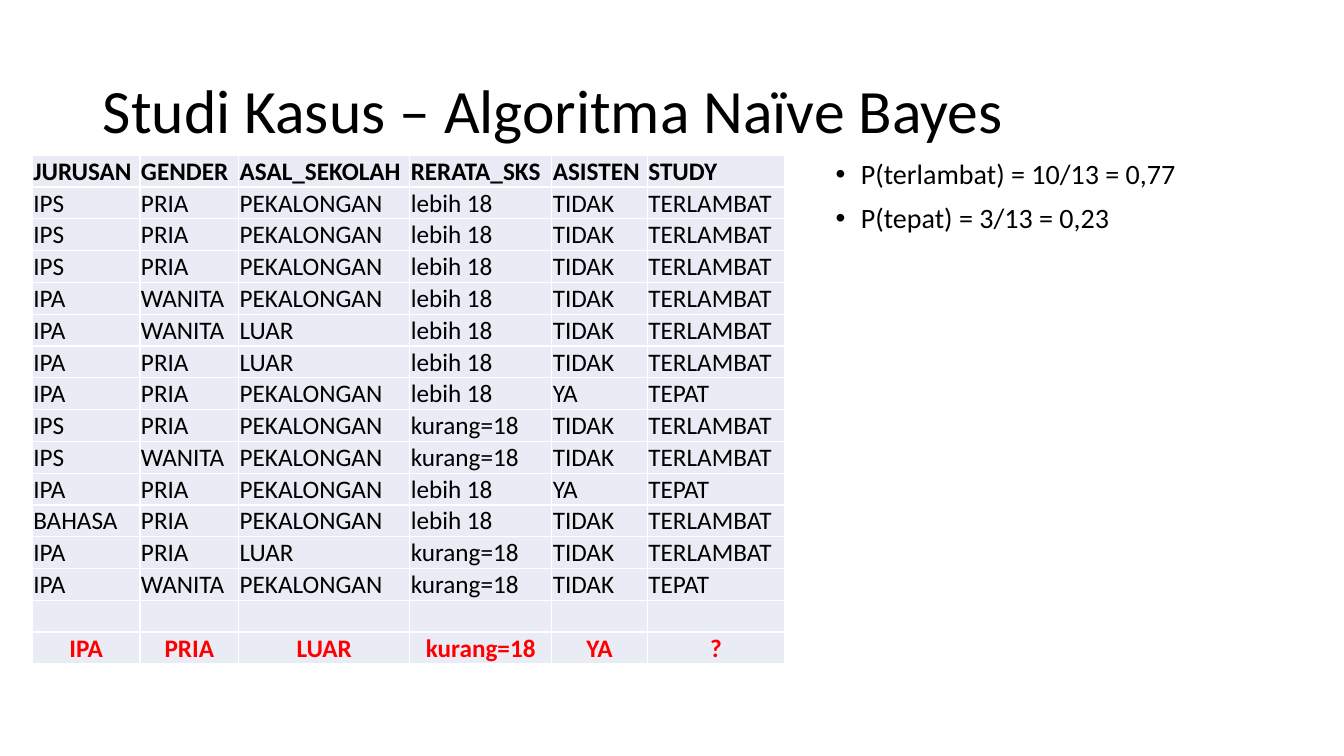
from lxml import etree
from pptx import Presentation
from pptx.dml.color import RGBColor
from pptx.enum.text import MSO_ANCHOR, PP_ALIGN
from pptx.oxml.ns import qn
from pptx.util import Inches, Pt

LEFT, CENTER = PP_ALIGN.LEFT, PP_ALIGN.CENTER
MIDDLE, BOTTOM = MSO_ANCHOR.MIDDLE, MSO_ANCHOR.BOTTOM
TITLE_ONLY = 5
FONT = "Calibri"
COLORS = {"text": "000000", "query": "FF0000", "cell": "E9EBF5"}

COLUMN_WIDTHS = [1.07, 0.98, 1.7, 1.41, 0.95, 1.36]
ROW_HEIGHT = 0.31
CELL_FORMAT = {
    "margin_left": Inches(0.01),
    "margin_right": Inches(0.01),
    "margin_top": Inches(0.01),
    "margin_bottom": 0,
    "vertical_anchor": BOTTOM,
}
HEADER = ["JURUSAN", "GENDER", "ASAL_SEKOLAH", "RERATA_SKS", "ASISTEN", "STUDY"]
STUDENTS = [
    ["IPS", "PRIA", "PEKALONGAN", "lebih 18", "TIDAK", "TERLAMBAT"],
    ["IPS", "PRIA", "PEKALONGAN", "lebih 18", "TIDAK", "TERLAMBAT"],
    ["IPS", "PRIA", "PEKALONGAN", "lebih 18", "TIDAK", "TERLAMBAT"],
    ["IPA", "WANITA", "PEKALONGAN", "lebih 18", "TIDAK", "TERLAMBAT"],
    ["IPA", "WANITA", "LUAR", "lebih 18", "TIDAK", "TERLAMBAT"],
    ["IPA", "PRIA", "LUAR", "lebih 18", "TIDAK", "TERLAMBAT"],
    ["IPA", "PRIA", "PEKALONGAN", "lebih 18", "YA", "TEPAT"],
    ["IPS", "PRIA", "PEKALONGAN", "kurang=18", "TIDAK", "TERLAMBAT"],
    ["IPS", "WANITA", "PEKALONGAN", "kurang=18", "TIDAK", "TERLAMBAT"],
    ["IPA", "PRIA", "PEKALONGAN", "lebih 18", "YA", "TEPAT"],
    ["BAHASA", "PRIA", "PEKALONGAN", "lebih 18", "TIDAK", "TERLAMBAT"],
    ["IPA", "PRIA", "LUAR", "kurang=18", "TIDAK", "TERLAMBAT"],
    ["IPA", "WANITA", "PEKALONGAN", "kurang=18", "TIDAK", "TEPAT"],
]
SEPARATOR = [""] * len(HEADER)
QUERY = ["IPA", "PRIA", "LUAR", "kurang=18", "YA", "?"]
PRIORS = ["P(terlambat) = 10/13 = 0,77", "P(tepat) = 3/13 = 0,23"]


def apply_format(target, values):
    for attribute, value in values.items():
        setattr(target, attribute, value)


def write(paragraph, text, size, color="text", bold=False):
    run = paragraph.add_run()
    run.text = text
    apply_format(run.font, {"name": FONT, "size": Pt(size), "bold": bold})
    run.font.color.rgb = RGBColor.from_string(COLORS[color])


def add_title(slide, left, top, width, height):
    title = slide.shapes.title
    apply_format(title, {"left": Inches(left), "top": Inches(top),
                         "width": Inches(width), "height": Inches(height)})
    title.text_frame.vertical_anchor = MIDDLE
    heading = title.text_frame.paragraphs[0]
    apply_format(heading, {"alignment": LEFT, "line_spacing": 0.9})
    write(heading, "Studi Kasus – Algoritma Naïve Bayes", 44)


def fill_cell(cell, text, color, bold, alignment):
    apply_format(cell, CELL_FORMAT)
    cell.fill.solid()
    cell.fill.fore_color.rgb = RGBColor.from_string(COLORS["cell"])
    paragraph = cell.text_frame.paragraphs[0]
    paragraph.alignment = alignment
    if text:
        write(paragraph, text, 18, color, bold)
    else:
        etree.SubElement(paragraph._p, qn("a:endParaRPr"), sz="1800")


def add_student_table(slide, left, top, width):
    rows = [(HEADER, "text", True, LEFT)]
    rows += [(student, "text", False, LEFT) for student in STUDENTS]
    rows += [(SEPARATOR, "text", False, LEFT), (QUERY, "query", True, CENTER)]
    students = slide.shapes.add_table(
        len(rows), len(HEADER), Inches(left), Inches(top),
        Inches(width), Inches(ROW_HEIGHT * len(rows))).table
    apply_format(students, {"first_row": False, "horz_banding": False})
    scale = width / sum(COLUMN_WIDTHS)
    for column, column_width in zip(students.columns, COLUMN_WIDTHS):
        column.width = Inches(column_width * scale)
    for row, (texts, color, bold, alignment) in zip(students.rows, rows):
        row.height = Inches(ROW_HEIGHT)
        for cell, text in zip(row.cells, texts):
            fill_cell(cell, text, color, bold, alignment)


def add_priors(slide, left, top, width, height):
    frame = slide.shapes.add_textbox(Inches(left), Inches(top),
                                     Inches(width), Inches(height)).text_frame
    frame.word_wrap = True
    for index, prior in enumerate(PRIORS):
        paragraph = frame.add_paragraph() if index else frame.paragraphs[0]
        apply_format(paragraph, {"alignment": LEFT, "line_spacing": 0.9,
                                 "space_before": Pt(10)})
        properties = paragraph._p.get_or_add_pPr()
        properties.set("marL", str(Inches(0.25)))
        properties.set("indent", str(Inches(-0.25)))
        etree.SubElement(properties, qn("a:buFont"), typeface="Arial")
        etree.SubElement(properties, qn("a:buChar"), char="•")
        write(paragraph, prior, 20)


def build_case_study(presentation):
    slide = presentation.slides.add_slide(presentation.slide_layouts[TITLE_ONLY])
    add_title(slide, 0.92, 0.4, 11.5, 1.45)
    add_student_table(slide, 0.32, 1.54, 7.46)
    add_priors(slide, 8.19, 1.54, 3.82, 0.92)


def main():
    presentation = Presentation()
    presentation.slide_width = Inches(13.33)
    presentation.slide_height = Inches(7.5)
    build_case_study(presentation)
    presentation.save("out.pptx")


if __name__ == "__main__":
    main()
